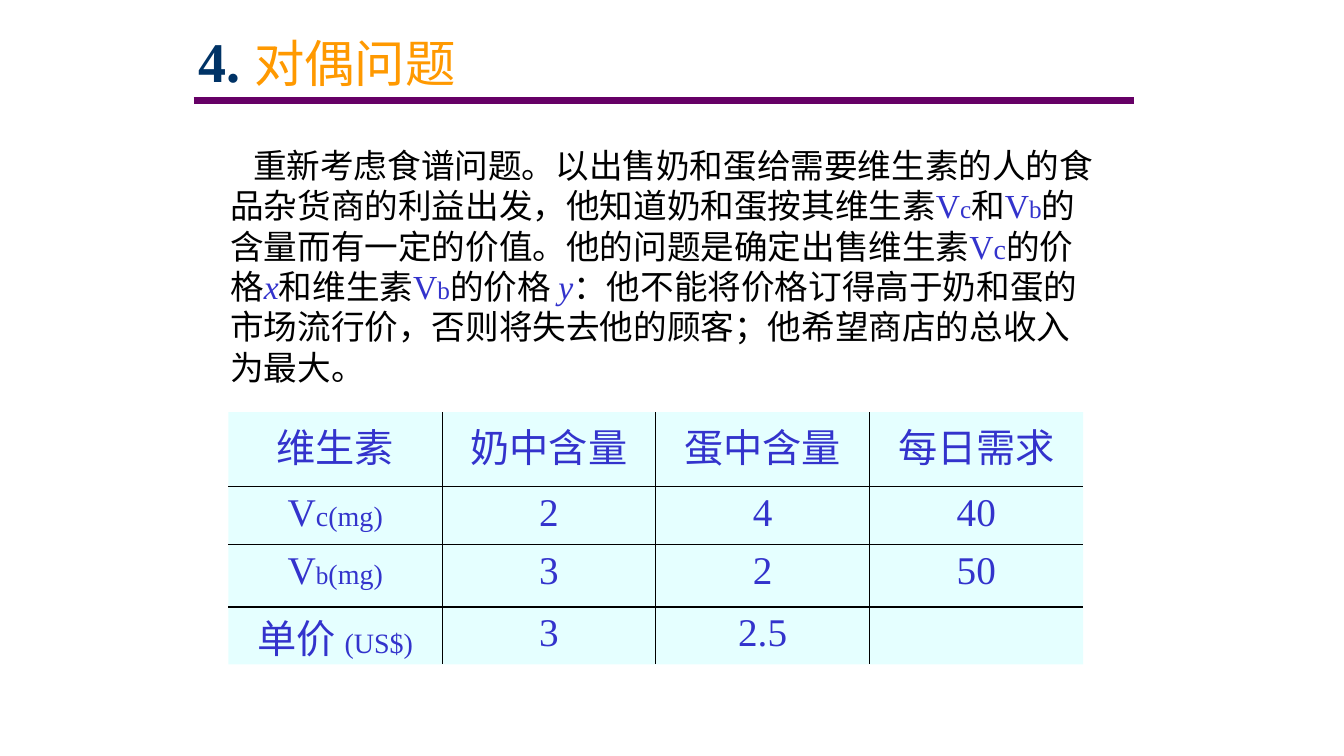
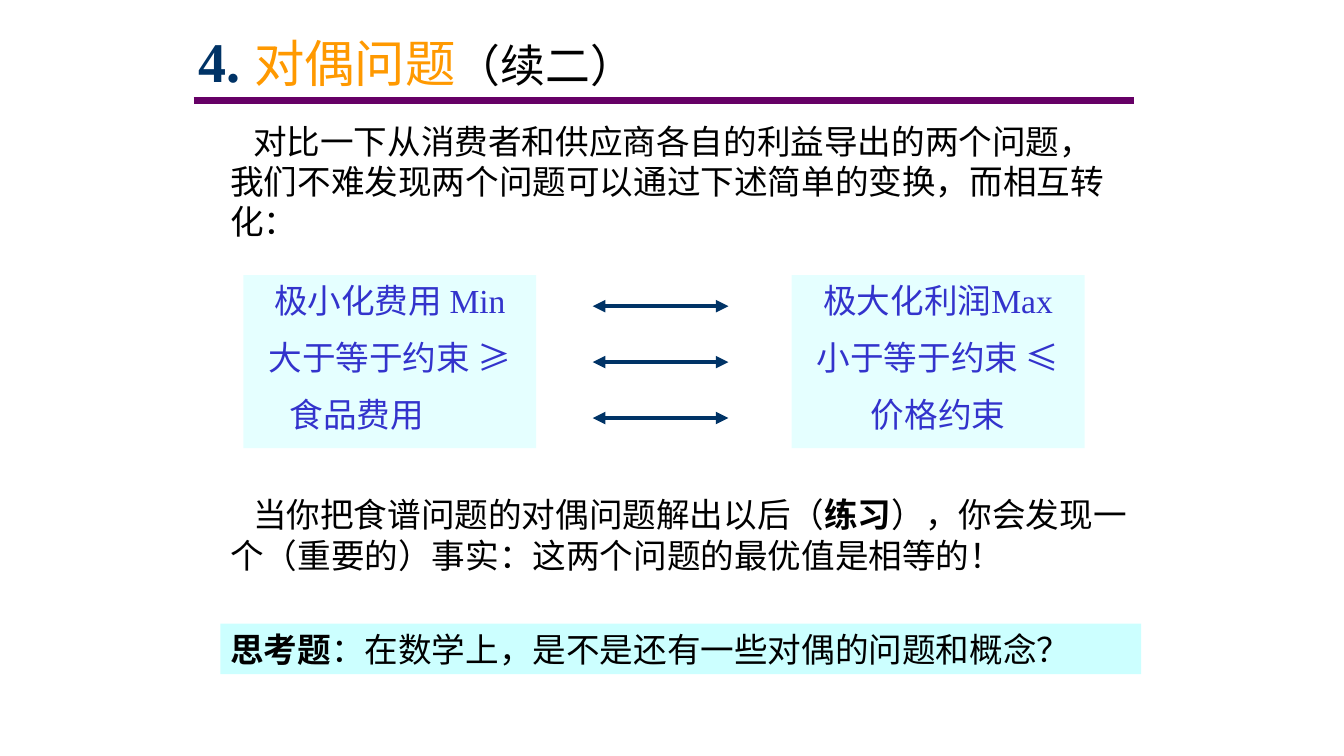
import pptx
import pptx.util
import pptx.dml.color
import pptx.enum.shapes
import pptx.enum.text
import pptx.oxml
from pptx.oxml.ns import nsdecls, qn

Pt = pptx.util.Pt
ALIGN = pptx.enum.text.PP_ALIGN
ANCHOR = pptx.enum.text.MSO_ANCHOR
STRAIGHT = pptx.enum.shapes.MSO_CONNECTOR.STRAIGHT
RECTANGLE = pptx.enum.shapes.MSO_SHAPE.RECTANGLE

BLACK, BLUE, NAVY = "000000", "3333CC", "003366"
ORANGE, PURPLE, CYAN = "FF9900", "660066", "CCFFFF"
LATIN_FONT, CHINESE_FONT = "Times New Roman", "Noto Sans CJK SC"
LINE_PITCH, PARAGRAPH_GAP = Pt(28.8), Pt(12)


def color(hex_string):
    return pptx.dml.color.RGBColor.from_string(hex_string)


def write(para, spans, size=24, ink=BLACK):
    """Each span is text, or (text, changes to size, ink, bold, italic)."""
    for item in spans:
        text, changes = (item, {}) if isinstance(item, str) else item
        span = para.add_run()
        span.text = text
        span.font.name = LATIN_FONT
        span.font.size = Pt(changes.get("size", size))
        span.font.color.rgb = color(changes.get("ink", ink))
        span.font.bold = changes.get("bold", False)
        span.font.italic = changes.get("italic", False)
        chinese = pptx.oxml.parse_xml(f'<a:ea {nsdecls("a")} typeface="{CHINESE_FONT}"/>')
        span.font._element.find(qn("a:latin")).addnext(chinese)


# Deck, with a grid of 1000 columns and 1000 rows
deck = pptx.Presentation()
deck.slide_width, deck.slide_height = 12192000, 6858000
column, row = deck.slide_width // 1000, deck.slide_height // 1000
title_only = deck.slide_layouts[5]
text_left = 164 * column
connectors, translucent = [], []

# Title and rule on both pages
pages = []
for suffix in ([], [("（续二）", {"size": 32, "ink": BLACK})]):
    page = deck.slides.add_slide(title_only)
    title = page.shapes.title
    title.left, title.top = 140 * column, -4 * row
    title.width, title.height = 638 * column, 167 * row
    frame = title.text_frame
    frame.auto_size = pptx.enum.text.MSO_AUTO_SIZE.NONE
    frame.vertical_anchor = ANCHOR.MIDDLE
    frame.paragraphs[0].alignment = ALIGN.LEFT
    number = ("4. ", {"size": 40, "ink": NAVY, "bold": True})
    write(frame.paragraphs[0], [number, "对偶问题"] + suffix, 36, ORANGE)
    rule = page.shapes.add_connector(STRAIGHT, 144 * column, 133 * row, 844 * column, 133 * row)
    rule.line.color.rgb = color(PURPLE)
    rule.line.width = Pt(4.5)
    connectors.append(rule)
    pages.append(page)
diet_page, duality_page = pages

# Running text: page, top, width, height, first-line indent, fill, spans
letter = {"ink": BLUE}
small = {"ink": BLUE, "size": 18}
variable = {"ink": BLUE, "italic": True}
passages = [
    (diet_page, 185, 662, 336, 17, None, [
        "重新考虑食谱问题。以出售奶和蛋给需要维生素的人的食品杂货商的利益出发，他知道奶和蛋按其维生素",
        ("V", letter), ("c", small), "和", ("V", letter), ("b", small),
        "的含量而有一定的价值。他的问题是确定出售维生素",
        ("V", letter), ("c", {"ink": BLUE, "size": 20}), "的价格", ("x", variable),
        "和维生素", ("V", letter), ("b", small), "的价格 ", ("y", variable),
        "：他不能将价格订得高于奶和蛋的市场流行价，否则将失去他的顾客；他希望商店的总收入为最大。"]),
    (duality_page, 153, 674, 175, 17, None, [
        "对比一下从消费者和供应商各自的利益导出的两个问题，"
        "我们不难发现两个问题可以通过下述简单的变换，而相互转化："]),
    (duality_page, 647, 685, 121, 17, None, [
        "当你把食谱问题的对偶问题解出以后（", ("练习", {"bold": True}),
        "），你会发现一个（重要的）事实：这两个问题的最优值是相等的！"]),
    (duality_page, 825, 685, 67, 0, CYAN, [
        ("思考题", {"bold": True}), "：在数学上，是不是还有一些对偶的问题和概念？"]),
]
for page, top, width, height, indent, fill, spans in passages:
    box = page.shapes.add_textbox(text_left, top * row, width * column, height * row)
    if fill:
        box.fill.solid()
        box.fill.fore_color.rgb = color(fill)
    box.text_frame.word_wrap = True
    para = box.text_frame.paragraphs[0]
    para.line_spacing = LINE_PITCH
    para._p.get_or_add_pPr().set("indent", str(indent * column))
    write(para, spans)

# Vitamin table
unit = {"size": 20}
cells = [
    [["维生素"], ["奶中含量"], ["蛋中含量"], ["每日需求"]],
    [["V", ("c(mg)", unit)], ["2"], ["4"], ["40"]],
    [["V", ("b", {"size": 18}), ("(mg)", unit)], ["3"], ["2"], ["50"]],
    [["单价 ", ("(US$)", unit)], ["3"], ["2.5"], []],
]
row_heights = [99, 76, 83, 76]
last_row, last_column = len(cells) - 1, len(cells[0]) - 1
graphic = diet_page.shapes.add_table(len(cells), len(cells[0]), 170 * column, 545 * row,
                                     4 * 159 * column, sum(row_heights) * row)
table = graphic.table
table.first_row = table.horz_banding = False
no_style = "{2D5ABB26-0587-4C30-8999-92F81FD0307C}"
table._tbl.tblPr.find(qn("a:tableStyleId")).text = no_style
for r, (height, contents) in enumerate(zip(row_heights, cells)):
    table.rows[r].height = height * row
    for c, spans in enumerate(contents):
        cell = table.cell(r, c)
        para = cell.text_frame.paragraphs[0]
        para.alignment = ALIGN.CENTER
        write(para, spans, 28, BLUE)
        if r == last_row and c == 0:
            para.line_spacing = Pt(36)
            cell.margin_top, cell.margin_bottom = Pt(5), 0
        cell.fill.solid()
        cell.fill.fore_color.rgb = color(CYAN)
        properties = cell._tc.get_or_add_tcPr()
        translucent.append(properties)
        # Only inner edges carry a border
        inner = {"lnL": c > 0, "lnR": c < last_column, "lnT": r > 0, "lnB": r < last_row}
        for position, tag in enumerate(tag for tag in inner if inner[tag]):
            properties.insert(position, pptx.oxml.parse_xml(
                f'<a:{tag} {nsdecls("a")} w="12700"><a:solidFill>'
                f'<a:srgbClr val="{BLACK}"/></a:solidFill></a:{tag}>'))

# Facing boxes of the two problems
problems = [
    (181, ["极小化费用 Min", "大于等于约束 ≥", "食品费用"]),
    (589, ["极大化利润Max", "小于等于约束 ≤", "价格约束"]),
]
for left, lines in problems:
    box = duality_page.shapes.add_shape(RECTANGLE, left * column, 364 * row, 218 * column, 229 * row)
    box.shadow.inherit = False
    box.line.fill.background()
    box.fill.solid()
    box.fill.fore_color.rgb = color(CYAN)
    translucent.append(box._element.spPr)
    frame = box.text_frame
    frame.word_wrap = True
    frame.vertical_anchor = ANCHOR.TOP
    for index, line in enumerate(lines):
        para = frame.add_paragraph() if index else frame.paragraphs[0]
        para.alignment = ALIGN.CENTER
        para.line_spacing = LINE_PITCH
        para.space_before = PARAGRAPH_GAP if index else 0
        if line == "食品费用":
            para.alignment = ALIGN.LEFT
            para._p.get_or_add_pPr().set("marL", str(27 * column))
        write(para, [line], ink=BLUE)

# Double arrows between the boxes
for index in range(3):
    level = (405 + 74 * index) * row
    arrow = duality_page.shapes.add_connector(STRAIGHT, 441 * column, level, 542 * column, level)
    arrow.line.color.rgb = color(NAVY)
    arrow.line.width = Pt(3)
    for end in ("headEnd", "tailEnd"):
        arrow.line._get_or_add_ln().append(
            pptx.oxml.parse_xml(f'<a:{end} {nsdecls("a")} type="triangle"/>'))
    connectors.append(arrow)

# Half-transparent fills, and lines without shadow
for holder in translucent:
    holder.find(qn("a:solidFill"))[0].append(
        pptx.oxml.parse_xml(f'<a:alpha {nsdecls("a")} val="50000"/>'))
for connector in connectors:
    connector._element.spPr.append(pptx.oxml.parse_xml(f'<a:effectLst {nsdecls("a")}/>'))

deck.save("out.pptx")
